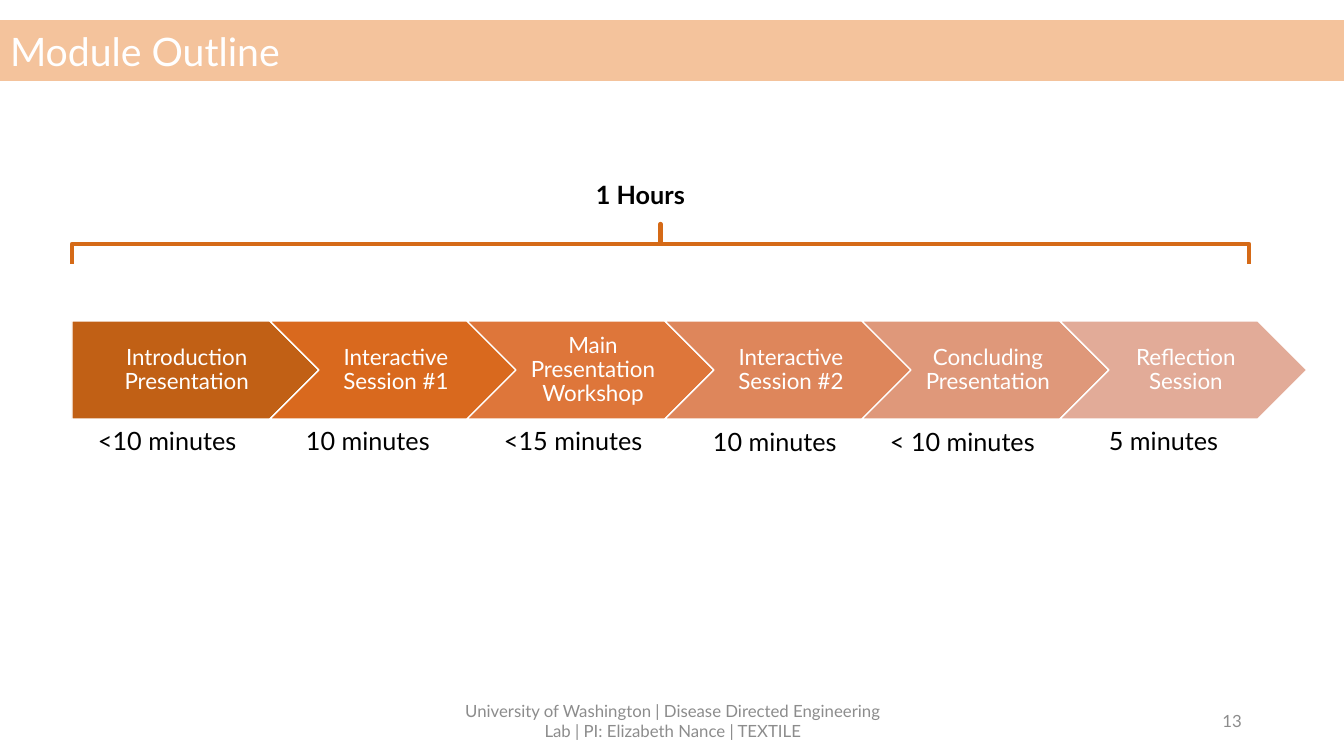
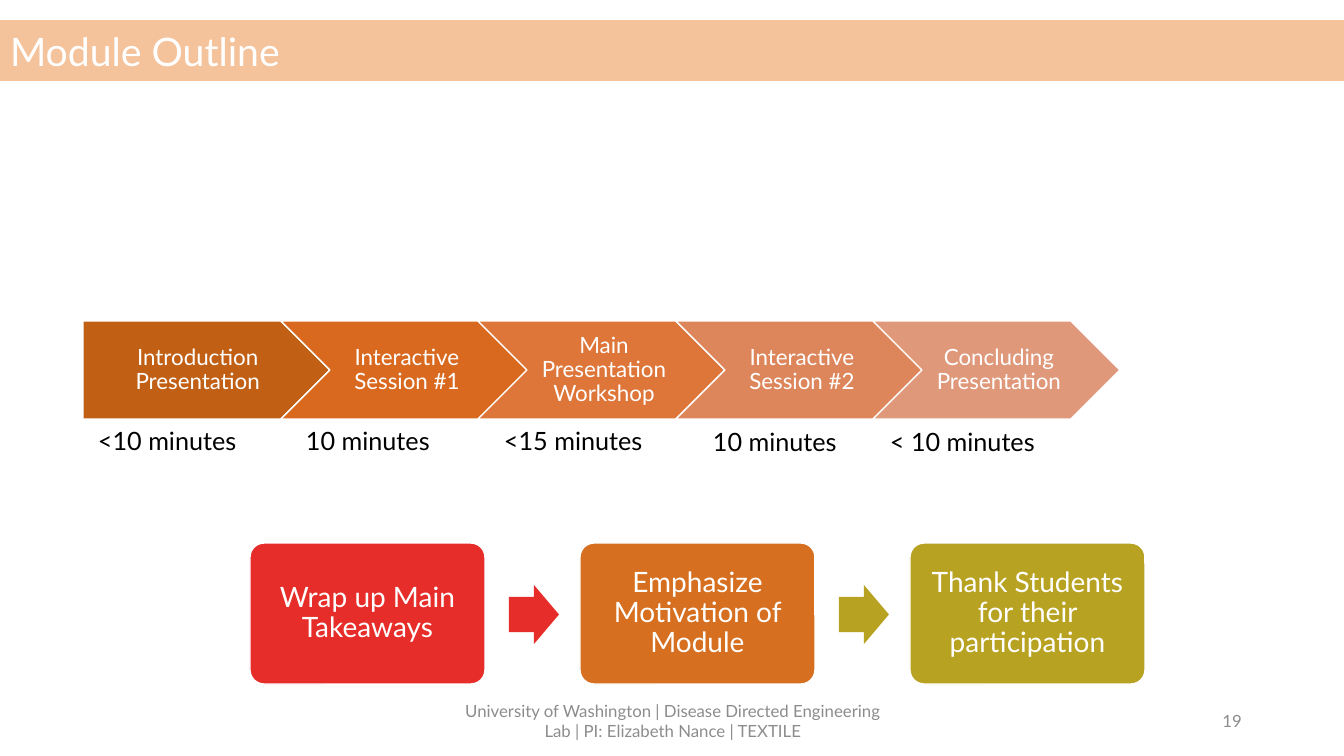
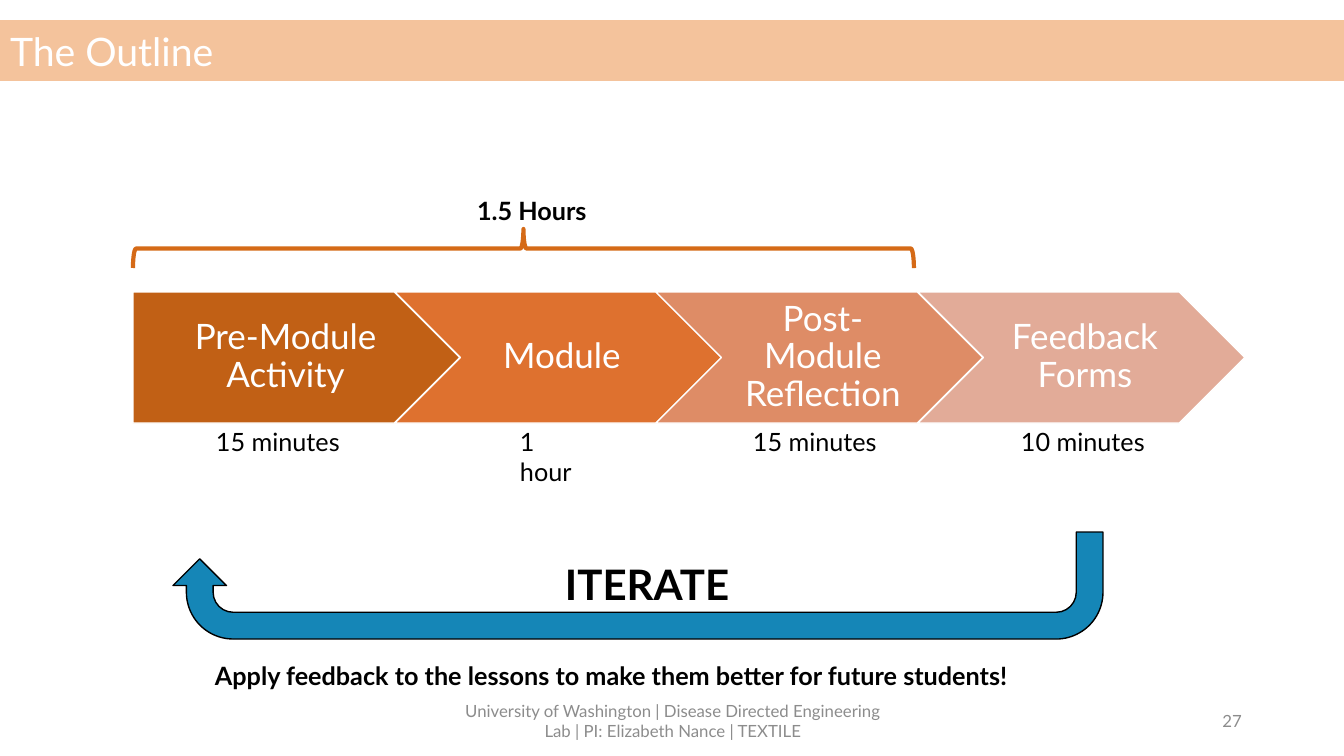
from collections import namedtuple

from pptx import Presentation
from pptx import util as u
from pptx.dml import color as dml
from pptx.enum import shapes, text

PX_PER_INCH = 100.8
SLIDE_WIDTH, SLIDE_HEIGHT = 1344, 756
FONT = "Lato"
WHITE, BLACK, GREY = "FFFFFF", "000000", "8C8C8C"
BAND, BRACKET, BLUE = "F4C39C", "D56A17", "1586B7"
FOOTER = ("University of Washington | Disease Directed Engineering Lab | "
          "PI: Elizabeth Nance | TEXTILE")
SHAPE, ALIGN, ANCHOR = shapes.MSO_SHAPE, text.PP_ALIGN, text.MSO_ANCHOR
MODULE_COLORS = ["C16015", "D9691E", "DE763A", "DE865B", "DF987A", "E2AB98"]
MODULE_STEPS = ["Introduction Presentation", "Interactive Session #1",
                "Main Presentation Workshop", "Interactive Session #2",
                "Concluding Presentation", "Reflection Session"]
MODULE_TIMES = [("<10 minutes", 88, 420, 161), ("10 minutes", 296, 420, 147),
                ("<15 minutes", 494, 420, 159), ("10 minutes", 703, 421, 147),
                ("< 10 minutes", 880, 421, 167), ("5 minutes", 1099, 420, 135)]
Box = namedtuple("Box", "left top width height")


def px(length):
    return u.Emu(round(length * 914400 / PX_PER_INCH))


def rgb(value):
    return dml.RGBColor.from_string(value)


def place(shape, box):
    shape.left, shape.top, shape.width, shape.height = map(px, box)


def write(shape, words, size, color, align=ALIGN.LEFT, anchor=ANCHOR.MIDDLE,
          bold=False, insets=(10, 5, 10, 5), spacing=1.0):
    frame = shape.text_frame
    frame.text = words
    frame.word_wrap = True
    frame.auto_size = text.MSO_AUTO_SIZE.NONE
    frame.vertical_anchor = anchor
    (frame.margin_left, frame.margin_top,
     frame.margin_right, frame.margin_bottom) = map(px, insets)
    paragraph = frame.paragraphs[0]
    paragraph.alignment = align
    paragraph.line_spacing = spacing
    font = paragraph.runs[0].font
    font.name, font.size, font.bold = FONT, u.Pt(size), bold
    font.color.rgb = rgb(color)


def add_label(slide, words, box, size=18, color=BLACK, **style):
    label = slide.shapes.add_textbox(*map(px, box))
    write(label, words, size, color, **style)


def add_figure(slide, kind, box, fill=None, line=None, weight=1, adjustments=()):
    figure = slide.shapes.add_shape(kind, *map(px, box))
    figure.shadow.inherit = False
    for index, value in enumerate(adjustments):
        figure.adjustments[index] = value
    if fill:
        figure.fill.solid()
        figure.fill.fore_color.rgb = rgb(fill)
    else:
        figure.fill.background()
    if line:
        figure.line.color.rgb = rgb(line)
        figure.line.width = u.Pt(weight)
    else:
        figure.line.fill.background()
    return figure


def add_outline_slide(presentation, title, number):
    slide = presentation.slides.add_slide(presentation.slide_layouts[5])
    band = slide.shapes.title
    place(band, Box(0, 20, SLIDE_WIDTH, 61))
    band.fill.solid()
    band.fill.fore_color.rgb = rgb(BAND)
    write(band, title, 28, WHITE)
    add_label(slide, FOOTER, Box(446, 701, 454, 40), 12, GREY, align=ALIGN.CENTER)
    add_label(slide, str(number), Box(950, 701, 302, 40), 12, GREY, align=ALIGN.RIGHT)
    return slide


def add_process(slide, first_box, steps, colors, size):
    for index, (step, color) in enumerate(zip(steps, colors)):
        kind, inset = (SHAPE.CHEVRON, 0.44) if index else (SHAPE.PENTAGON, 0.59)
        left = first_box.left + round(index * first_box.width * 0.8)
        arrow = add_figure(slide, kind, first_box._replace(left=left), color, WHITE)
        insets = [round(size * part) for part in (inset, 0.29, 0.15, 0.29)]
        write(arrow, step, size, WHITE, ALIGN.CENTER, insets=insets, spacing=0.9)


def add_times(slide, times, height=40):
    for words, left, top, width in times:
        add_label(slide, words, Box(left, top, width, height), anchor=ANCHOR.TOP)


def add_bracket(slide, box, radius):
    upright = Box(box.left + (box.width - box.height) / 2,
                  box.top + (box.height - box.width) / 2, box.height, box.width)
    bracket = add_figure(slide, SHAPE.RIGHT_BRACE, upright, line=BRACKET, weight=3,
                         adjustments=(radius, 0.5))
    bracket.rotation = 270


def add_cards(slide, first_box, cards, pitch=330):
    for index, (words, color) in enumerate(cards):
        box = first_box._replace(left=first_box.left + index * pitch)
        if index:
            arrow_color = cards[0][1] if index == 1 else color
            arrow_box = Box(box.left - 71, box.top + 42, 50, 59)
            add_figure(slide, SHAPE.RIGHT_ARROW, arrow_box, arrow_color,
                       adjustments=(0.6, 0.5))
        card = add_figure(slide, SHAPE.ROUNDED_RECTANGLE, box, color, WHITE,
                          adjustments=(0.1,))
        write(card, words, 20, WHITE, ALIGN.CENTER, insets=(8, 8, 8, 8), spacing=0.9)


def add_loop(slide, box):
    loop = add_figure(slide, SHAPE.U_TURN_ARROW, box, BLUE, BLACK)
    loop.rotation = 180
    add_label(slide, "ITERATE", Box(box.left + 382, box.top + 22, 205, 61), 30,
              bold=True, anchor=ANCHOR.TOP)
    add_label(slide, "Apply feedback to the lessons to make them better for future students!",
              Box(box.left + 32, box.top + 123, 896, 40), bold=True, anchor=ANCHOR.TOP)


def build_module_slide(presentation):
    slide = add_outline_slide(presentation, "Module Outline", 13)
    add_process(slide, Box(72, 321, 247, 98), MODULE_STEPS, MODULE_COLORS, 16)
    add_times(slide, MODULE_TIMES)
    add_bracket(slide, Box(72, 224, 1177, 40), 0)
    add_label(slide, "1 Hours", Box(586, 174, 112, 40), bold=True, anchor=ANCHOR.TOP)


def build_conclusion_slide(presentation):
    slide = add_outline_slide(presentation, "Module Outline", 19)
    add_process(slide, Box(83, 321, 247, 98), MODULE_STEPS[:5], MODULE_COLORS, 16)
    add_times(slide, MODULE_TIMES[:5])
    add_cards(slide, Box(250, 543, 235, 141),
              [("Wrap up Main Takeaways", "E72D29"),
               ("Emphasize Motivation of Module", "D66F1F"),
               ("Thank Students for their participation", "B8A221")])


def build_feedback_slide(presentation):
    slide = add_outline_slide(presentation, "The Outline", 27)
    add_process(slide, Box(133, 292, 327, 131),
                ["Pre-Module Activity", "Module", "Post-Module Reflection", "Feedback Forms"],
                ["C16015", "DE712F", "DE8C66", "E2AB98"], 25)
    add_times(slide, [("15 minutes", 206, 421, 145), ("1 hour", 510, 421, 88),
                      ("15 minutes", 743, 421, 145), ("10 minutes", 1011, 421, 147)])
    add_bracket(slide, Box(133, 229, 781, 39), 0.08)
    add_label(slide, "1.5 Hours", Box(467, 190, 134, 40), bold=True, anchor=ANCHOR.TOP)
    add_loop(slide, Box(173, 532, 930, 107))


def main():
    presentation = Presentation()
    presentation.slide_width, presentation.slide_height = px(SLIDE_WIDTH), px(SLIDE_HEIGHT)
    build_module_slide(presentation)
    build_conclusion_slide(presentation)
    build_feedback_slide(presentation)
    presentation.save("out.pptx")


if __name__ == "__main__":
    main()
